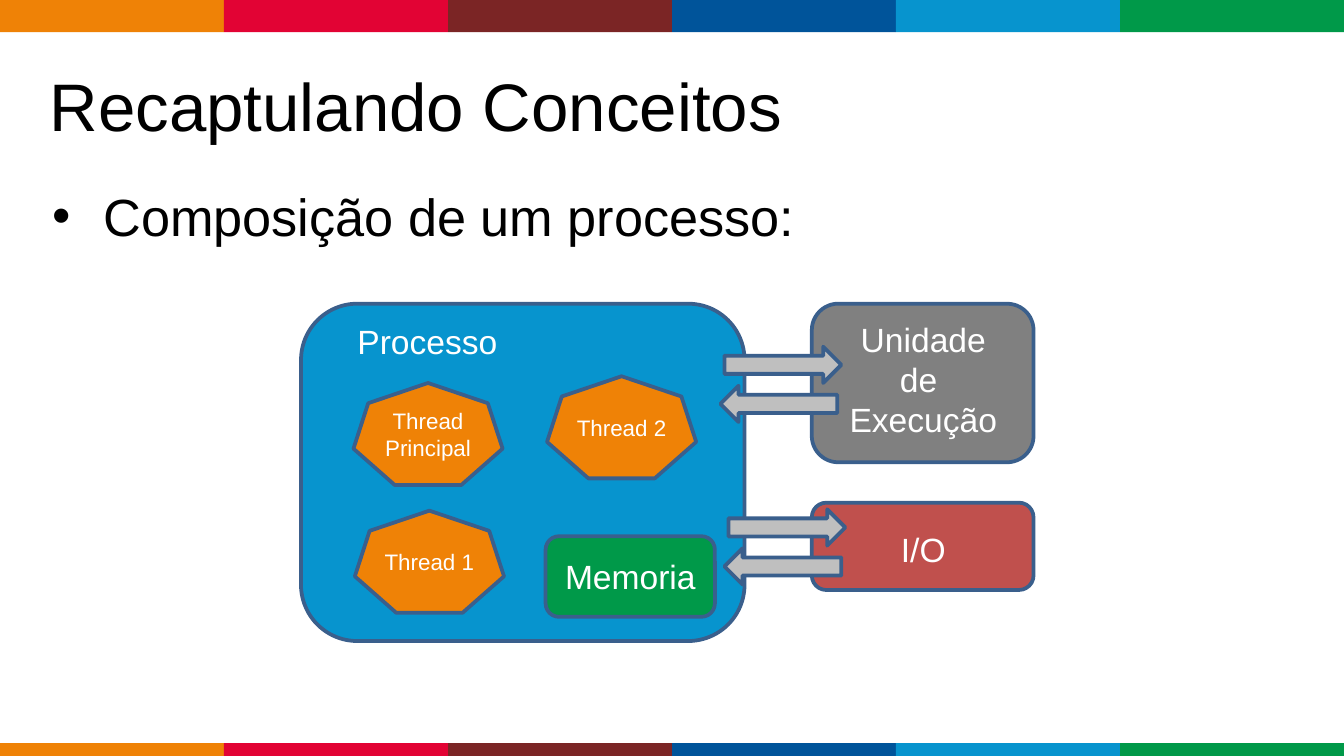
from dataclasses import dataclass

import pptx
import pptx.dml.color
import pptx.enum.shapes
import pptx.enum.text
import pptx.util

Inches = pptx.util.Inches
Shapes = pptx.enum.shapes.MSO_SHAPE
Align = pptx.enum.text.PP_ALIGN
Anchor = pptx.enum.text.MSO_ANCHOR

COLORS = {
    "orange": "EF8206", "red": "E20334", "maroon": "7B2525",
    "navy": "00549A", "blue": "0794CE", "green": "009949",
    "gray": "808080", "silver": "BFBFBF", "brick": "C0504D",
    "outline": "3A5F8C", "white": "FFFFFF", "black": "000000",
}
STRIPE_COLORS = ("orange", "red", "maroon", "navy", "blue", "green")


@dataclass
class Box:
    left: float
    top: float
    width: float
    height: float

    def lengths(self) -> list:
        return [Inches(n) for n in (self.left, self.top, self.width, self.height)]


@dataclass
class Block:
    box: Box
    fill: str
    kind: int = Shapes.ROUNDED_RECTANGLE
    text: str = ""
    rotation: float = 0


@dataclass
class Label:
    left: float
    top: float
    lines: tuple
    height: float = 0.4


def rgb(name: str) -> pptx.dml.color.RGBColor:
    return pptx.dml.color.RGBColor.from_string(COLORS[name])


def write(frame, lines: tuple, size: float, color: str, alignment) -> None:
    frame.text = "\n".join(lines)
    frame.word_wrap = True
    font_format = {"name": "Arial", "size": pptx.util.Pt(size)}
    for paragraph in frame.paragraphs:
        paragraph.alignment = alignment
        for run in paragraph.runs:
            for attribute, value in font_format.items():
                setattr(run.font, attribute, value)
            run.font.color.rgb = rgb(color)


def draw_block(slide, block: Block, outlined: bool = True) -> None:
    shape = slide.shapes.add_shape(block.kind, *block.box.lengths())
    shape.shadow.inherit = False
    shape.rotation = block.rotation
    shape.fill.solid()
    shape.fill.fore_color.rgb = rgb(block.fill)
    if outlined:
        shape.line.color.rgb = rgb("outline")
        shape.line.width = pptx.util.Pt(2)
    else:
        shape.line.fill.background()
    if block.text:
        write(shape.text_frame, (block.text,), 12, "white", Align.CENTER)
        shape.text_frame.vertical_anchor = Anchor.MIDDLE


def draw_label(slide, label: Label) -> None:
    box = Box(label.left, label.top, 1.42, label.height)
    shape = slide.shapes.add_textbox(*box.lengths())
    write(shape.text_frame, label.lines, 18, "white", Align.CENTER)


def draw_stripes(slide, top: float, height: float, slide_width: float) -> None:
    width = slide_width / len(STRIPE_COLORS)
    for index, color in enumerate(STRIPE_COLORS):
        box = Box(index * width, top, width, height)
        draw_block(slide, Block(box, color, Shapes.RECTANGLE), outlined=False)


def draw_exchange(slide, left: float, top: float) -> None:
    """Draw an arrow to the right and, below it, one back to the left."""
    for offset_x, offset_y, rotation in ((0, 0, 0), (-0.03, 0.29, 180)):
        box = Box(left + offset_x, top + offset_y, 0.87, 0.27)
        draw_block(slide, Block(box, "silver", Shapes.RIGHT_ARROW, rotation=rotation))


def fill_placeholder(shape, box: Box, text: str, size: float, anchor) -> None:
    for attribute, value in zip(("left", "top", "width", "height"), box.lengths()):
        setattr(shape, attribute, value)
    write(shape.text_frame, (text,), size, "black", Align.LEFT)
    shape.text_frame.vertical_anchor = anchor


PANELS = (
    Block(Box(2.24, 2.26, 3.3, 2.51), "blue"),
    Block(Box(6.04, 2.26, 1.65, 1.18), "gray"),
    Block(Box(6.04, 3.74, 1.65, 0.65), "brick"),
    Block(Box(4.06, 3.99, 1.26, 0.6), "green"),
)
THREADS = (
    (2.63, 2.85, "Thread Principal"),
    (2.64, 3.8, "Thread 1"),
    (4.07, 2.8, "Thread 2"),
)
LABELS = (
    Label(2.47, 2.34, ("Processo",)),
    Label(6.16, 2.32, ("Unidade de ", "Execução"), 1.01),
    Label(6.16, 3.89, ("I/O",)),
    Label(3.98, 4.09, ("Memoria",)),
)


def main() -> None:
    # Widescreen 16:9 slide
    presentation = pptx.Presentation()
    presentation.slide_width = Inches(10)
    presentation.slide_height = Inches(10) * 9 // 16
    slide = presentation.slides.add_slide(presentation.slide_layouts[1])

    # Title and bullet
    fill_placeholder(slide.shapes.title, Box(0.27, 0.4, 7.09, 0.76),
                     "Recaptulando Conceitos", 36, Anchor.MIDDLE)
    body = slide.placeholders[1]
    fill_placeholder(body, Box(0.29, 1.32, 9.45, 3.72),
                     "Composição de um processo:", 28, Anchor.TOP)
    properties = body.text_frame.paragraphs[0]._p.get_or_add_pPr()
    for attribute, indent in {"marL": 0.38, "indent": -0.38}.items():
        properties.set(attribute, str(Inches(indent)))

    # Coloured bands at the top and bottom edges
    draw_stripes(slide, 0, 0.24, 10)
    draw_stripes(slide, 5.53, 0.1, 10)

    # Process diagram
    for panel in PANELS:
        draw_block(slide, panel)
    for left, top, name in THREADS:
        draw_block(slide, Block(Box(left, top, 1.11, 0.76), "orange", Shapes.HEPTAGON, name))
    for label in LABELS:
        draw_label(slide, label)
    draw_exchange(slide, 5.39, 2.58)
    draw_exchange(slide, 5.42, 3.79)

    presentation.save("out.pptx")


if __name__ == "__main__":
    main()
